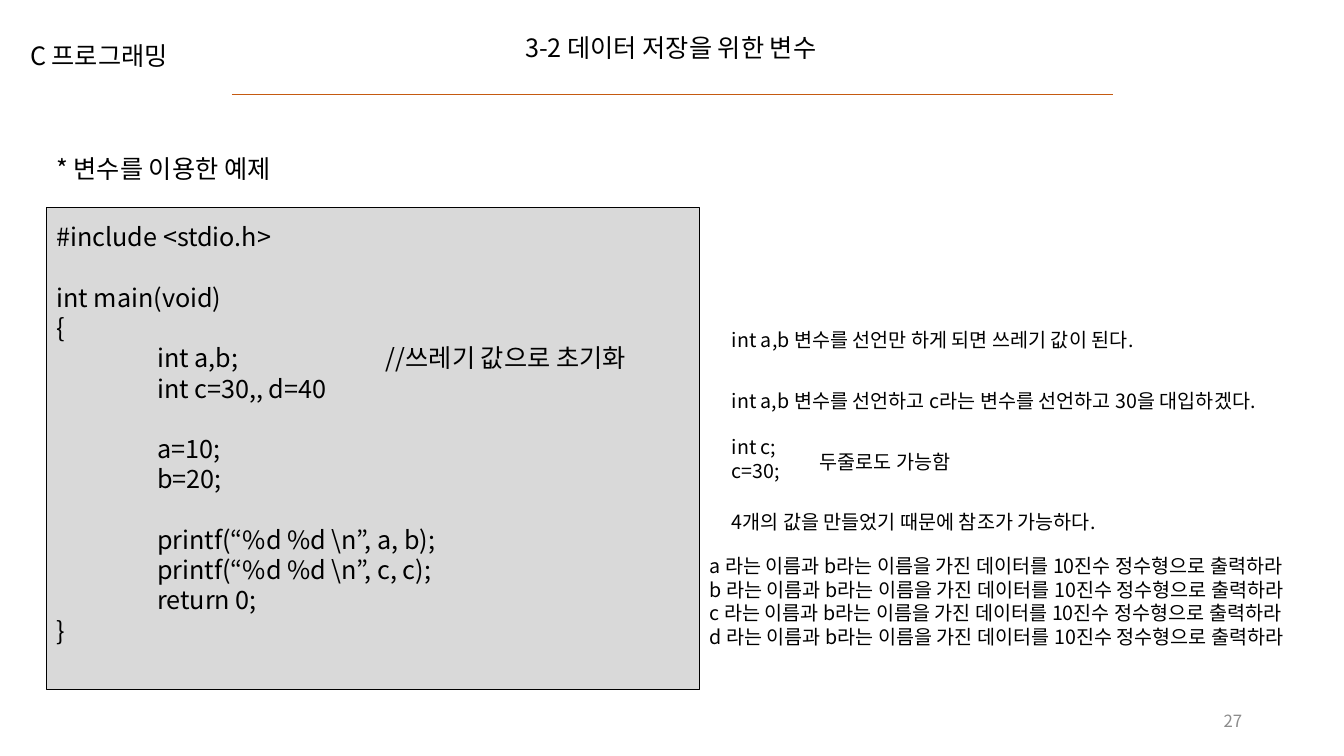
import pptx
import pptx.util
import pptx.dml.color
import pptx.enum.shapes
import pptx.enum.text
import pptx.oxml
from lxml import etree

Inches, Pt = pptx.util.Inches, pptx.util.Pt
RGBColor = pptx.dml.color.RGBColor
BLACK = RGBColor(0x00, 0x00, 0x00)
CODE_FILL = RGBColor(0xD9, 0xD9, 0xD9)
RULE = RGBColor(0xC5, 0x5A, 0x11)
PAGE_GRAY = RGBColor(0x8C, 0x8C, 0x8C)
FONT = "Noto Sans CJK KR"
MIDDLE = pptx.enum.text.MSO_ANCHOR.MIDDLE
ALIGN = pptx.enum.text.PP_ALIGN


def add_line(para, text, size, color=BLACK):
    span = para.add_run()
    span.text = text
    span.font.size = Pt(size)
    span.font.name = FONT
    span.font.color.rgb = color
    east_asian = etree.SubElement(span.font._element, pptx.oxml.ns.qn("a:ea"))
    east_asian.set("typeface", FONT)


def add_label(left, top, width, height, lines, size):
    box = page.shapes.add_textbox(Inches(left), Inches(top), Inches(width), Inches(height))
    box.text_frame.word_wrap = False
    for index, text in enumerate(lines):
        para = box.text_frame.add_paragraph() if index else box.text_frame.paragraphs[0]
        para.alignment = ALIGN.LEFT
        add_line(para, text, size)


deck = pptx.Presentation()
deck.slide_width, deck.slide_height = Inches(13.33), Inches(7.5)
page = deck.slides.add_slide(deck.slide_layouts[6])

# Header and its rule
add_label(0.2, 0.35, 1.71, 0.4, ["C 프로그래밍"], 18)
add_label(5.11, 0.27, 3.46, 0.4, ["3-2 데이터 저장을 위한 변수"], 18)
rule = page.shapes.add_connector(
    pptx.enum.shapes.MSO_CONNECTOR.STRAIGHT,
    Inches(2.3), Inches(0.94), Inches(11.04), Inches(0.94))
rule.line.color.rgb = RULE
rule.line.width = Pt(0.5)
etree.SubElement(rule._element.spPr, pptx.oxml.ns.qn("a:effectLst"))

# Example heading
add_label(0.46, 1.47, 2.6, 0.4, ["* 변수를 이용한 예제"], 18)

# Code panel: each block of code is set off by one line of space
code_blocks = [
    ["#include <stdio.h>"],
    ["int main(void)", "{", "\tint a,b;\t//쓰레기 값으로 초기화", "\tint c=30,, d=40"],
    ["\ta=10;", "\tb=20;"],
    ["\tprintf(“%d %d \\n”, a, b);", "\tprintf(“%d %d \\n”, c, c);", "\treturn 0;", "}"],
]
panel = page.shapes.add_shape(
    pptx.enum.shapes.MSO_SHAPE.RECTANGLE,
    Inches(0.46), Inches(2.06), Inches(6.48), Inches(4.78))
panel.shadow.inherit = False
panel.fill.solid()
panel.fill.fore_color.rgb = CODE_FILL
panel.line.color.rgb = BLACK
panel.line.width = Pt(1)
code = panel.text_frame
code.word_wrap = True
code.vertical_anchor = MIDDLE
code.margin_bottom = Inches(0.35)
for block_index, block in enumerate(code_blocks):
    for line_index, text in enumerate(block):
        first = block_index == line_index == 0
        para = code.paragraphs[0] if first else code.add_paragraph()
        para.alignment = ALIGN.LEFT
        if line_index == 0 and not first:
            para.space_before = Pt(21.6)
        tabs = etree.SubElement(para._p.get_or_add_pPr(), pptx.oxml.ns.qn("a:tabLst"))
        for stop in (1, 3.27):
            tab = etree.SubElement(tabs, pptx.oxml.ns.qn("a:tab"))
            tab.set("pos", str(Inches(stop)))
            tab.set("algn", "l")
        add_line(para, text, 18)

# Notes beside the code
output_notes = [
    f"{name} 라는 이름과 b라는 이름을 가진 데이터를 10진수 정수형으로 출력하라" for name in "abcd"]
notes = [
    (7.16, 3.2, 4.62, 0.34, ["int a,b 변수를 선언만 하게 되면 쓰레기 값이 된다."]),
    (7.16, 3.81, 5.87, 0.34, ["int a,b 변수를 선언하고 c라는 변수를 선언하고 30을 대입하겠다."]),
    (7.16, 4.27, 0.69, 0.57, ["int c;", "c=30;"]),
    (8.03, 4.41, 1.64, 0.34, ["두줄로도 가능함"]),
    (7.16, 5.01, 4.23, 0.34, ["4개의 값을 만들었기 때문에 참조가 가능하다."]),
    (6.94, 5.45, 6.65, 1.28, output_notes),
]
for left, top, width, height, lines in notes:
    add_label(left, top, width, height, lines, 14)

# Page number
number = page.shapes.add_textbox(Inches(9.42), Inches(6.95), Inches(3), Inches(0.4))
number.text_frame.word_wrap = True
number.text_frame.vertical_anchor = MIDDLE
para = number.text_frame.paragraphs[0]
para.alignment = ALIGN.RIGHT
add_line(para, "27", 12, PAGE_GRAY)

deck.save("out.pptx")
